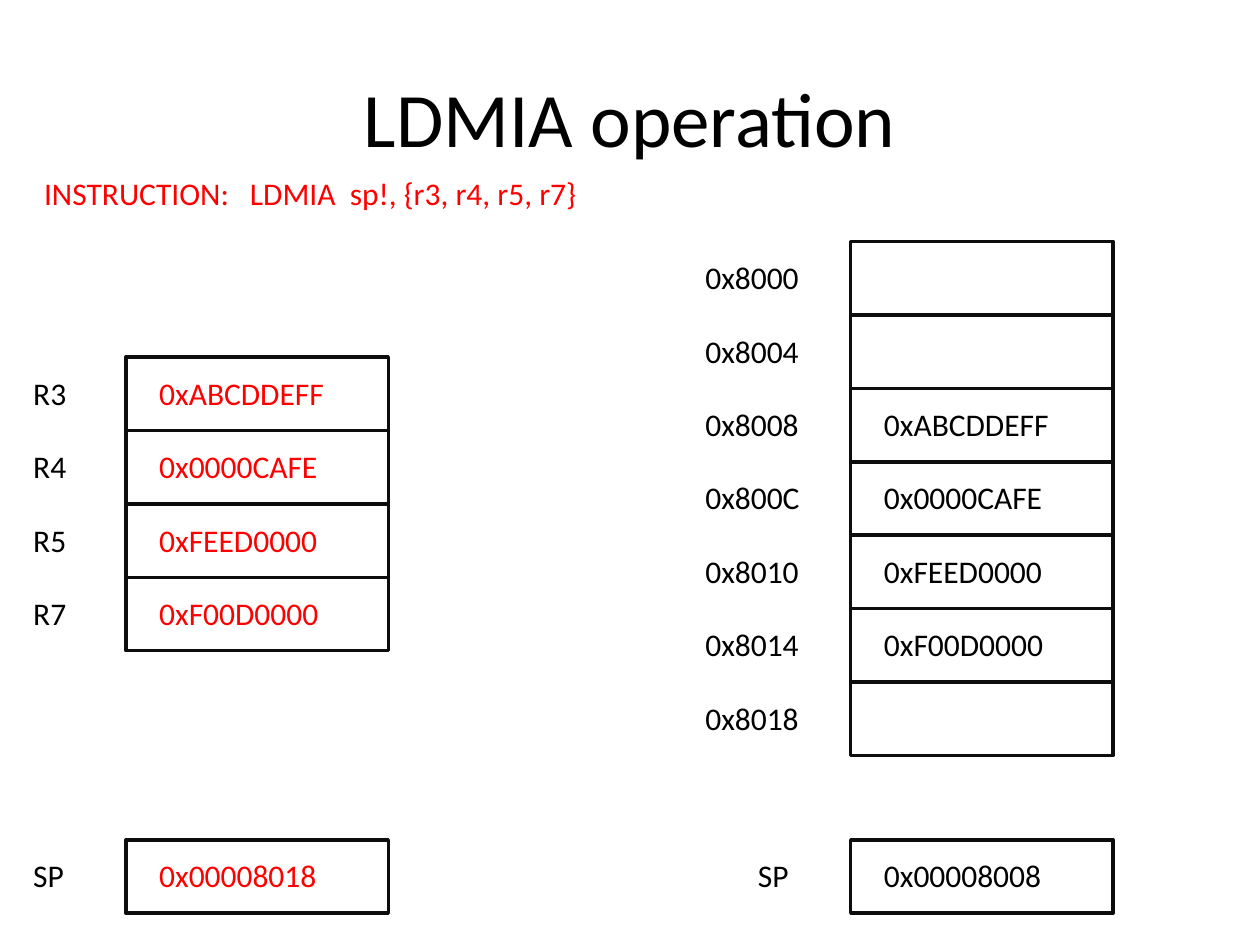
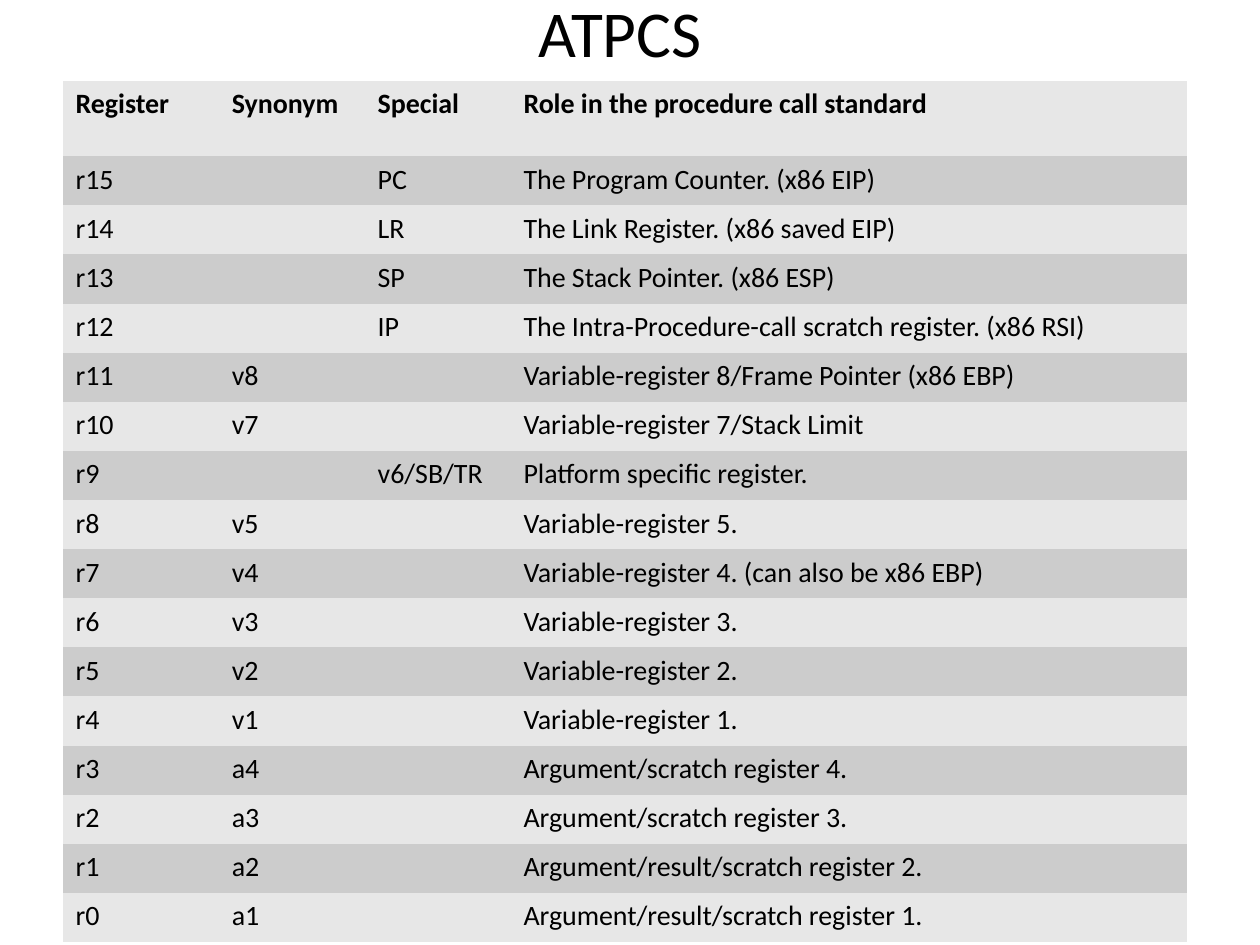
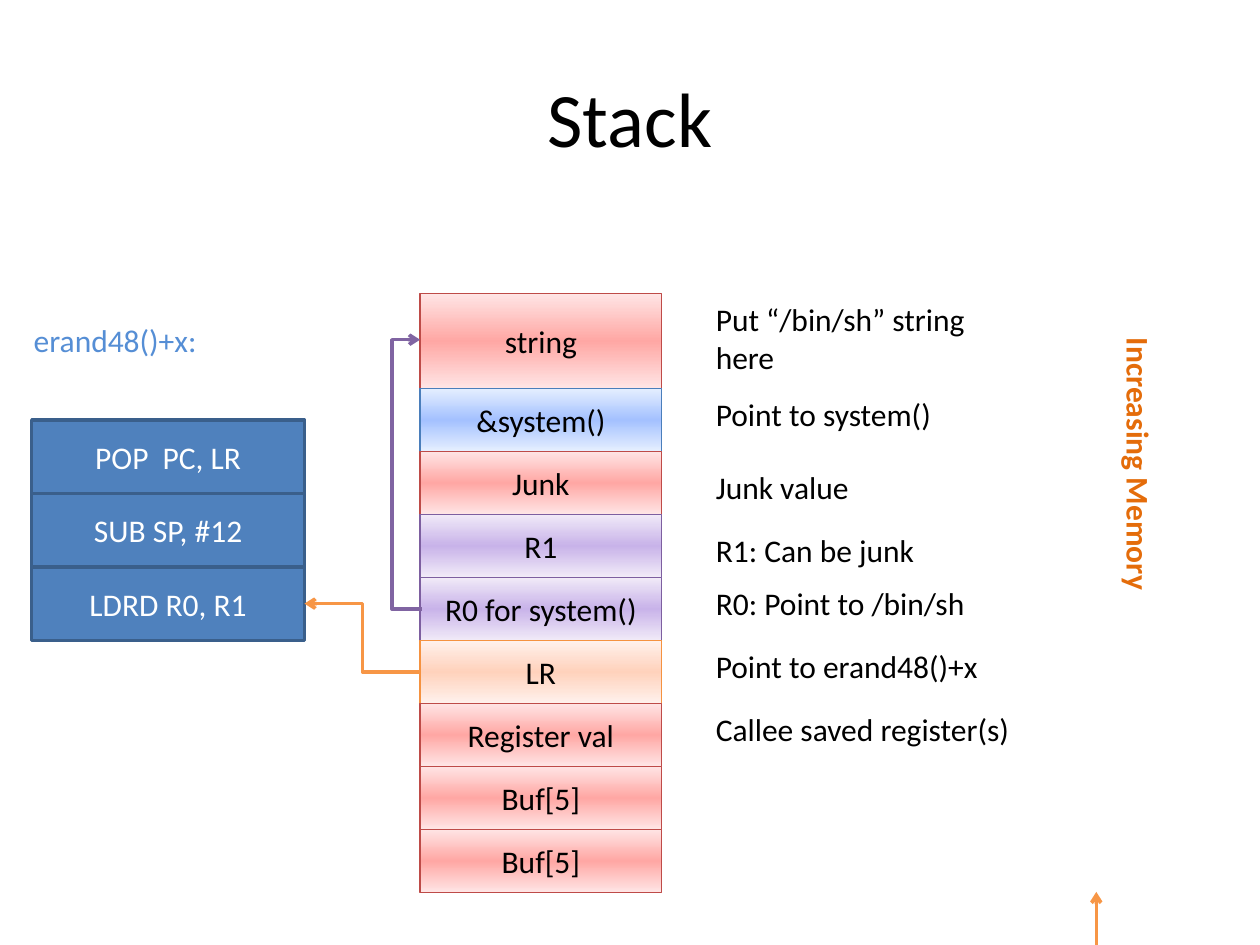
from copy import deepcopy

from lxml.etree import SubElement
from pptx import Presentation
from pptx.dml.color import RGBColor
from pptx.enum.shapes import MSO_CONNECTOR, MSO_SHAPE
from pptx.enum.text import MSO_ANCHOR, MSO_AUTO_SIZE, PP_ALIGN
from pptx.oxml.ns import qn
from pptx.util import Cm, Pt

BLACK = RGBColor(0x00, 0x00, 0x00)
WHITE = RGBColor(0xFF, 0xFF, 0xFF)
RED = RGBColor(0xFF, 0x00, 0x00)
CELL_LINE = RGBColor(0x0D, 0x0D, 0x0D)
CODE_FILL = RGBColor(0x4F, 0x81, 0xBD)
CODE_LINE = RGBColor(0x3A, 0x5F, 0x8B)
CODE_LABEL = RGBColor(0x55, 0x8E, 0xD5)
ORANGE = RGBColor(0xF7, 0x96, 0x46)
DARK_ORANGE = RGBColor(0xE4, 0x6C, 0x0A)
PURPLE = RGBColor(0x80, 0x64, 0xA2)
ROW_LIGHT = RGBColor(0xE7, 0xE7, 0xE7)
ROW_DARK = RGBColor(0xCC, 0xCC, 0xCC)

# Frame colours: gradient edge, gradient middle, outline
RED_FRAME = (RGBColor(0xFF, 0xE5, 0xE5), RGBColor(0xFF, 0xA7, 0xA4), RGBColor(0xBE, 0x4B, 0x48))
BLUE_FRAME = (RGBColor(0xE5, 0xEF, 0xFF), RGBColor(0xA4, 0xC1, 0xFF), RGBColor(0x4A, 0x7E, 0xBB))
PURPLE_FRAME = (RGBColor(0xF1, 0xEA, 0xF8), RGBColor(0xC8, 0xB3, 0xE9), RGBColor(0x7D, 0x5F, 0xA0))
ORANGE_FRAME = (RGBColor(0xFF, 0xF1, 0xEC), RGBColor(0xFF, 0xD2, 0xBC), RGBColor(0xF5, 0x92, 0x40))

SLIDE_W, SLIDE_H = 25.4, 19.05
CELL_W, CELL_H = 5.29, 1.48
LABEL_H = 1.02
LABEL_DROP = 0.21
TITLE_BOX = (1.27, 0.76, 22.86, 3.18)
PLAIN_TABLE = "{2D5ABB26-0587-4C30-8999-92F81FD0307C}"

VALUES = ["0xABCDDEFF", "0x0000CAFE", "0xFEED0000", "0xF00D0000"]
REGISTERS = list(zip(["R3", "R4", "R5", "R7"], VALUES))
ADDRESSES = ["0x8000", "0x8004", "0x8008", "0x800C", "0x8010", "0x8014", "0x8018"]
MEMORY = list(zip(ADDRESSES, ["", "", *VALUES, ""]))

COLUMN_WIDTHS = [3.15, 2.94, 2.94, 13.62]
ROLES = [
    ("Register", "Synonym", "Special", "Role in the procedure call standard"),
    ("r15", "", "PC", "The Program Counter. (x86 EIP)"),
    ("r14", "", "LR", "The Link Register. (x86 saved EIP)"),
    ("r13", "", "SP", "The Stack Pointer. (x86 ESP)"),
    ("r12", "", "IP", "The Intra-Procedure-call scratch register. (x86 RSI)"),
    ("r11", "v8", "", "Variable-register 8/Frame Pointer (x86 EBP)"),
    ("r10", "v7", "", "Variable-register 7/Stack Limit"),
    ("r9", "", "v6/SB/TR", "Platform specific register."),
    ("r8", "v5", "", "Variable-register 5."),
    ("r7", "v4", "", "Variable-register 4. (can also be x86 EBP)"),
    ("r6", "v3", "", "Variable-register 3."),
    ("r5", "v2", "", "Variable-register 2."),
    ("r4", "v1", "", "Variable-register 1."),
    ("r3", "a4", "", "Argument/scratch register 4."),
    ("r2", "a3", "", "Argument/scratch register 3."),
    ("r1", "a2", "", "Argument/result/scratch register 2."),
    ("r0", "a1", "", "Argument/result/scratch register 1."),
]

# Text, colours, height, note, drop of the note below the frame's top
FRAMES = [
    ("string", RED_FRAME, 1.91, "Put “/bin/sh” string here", 0),
    ("&system()", BLUE_FRAME, 1.27, "Point to system()", 0),
    ("Junk", RED_FRAME, 1.27, "Junk value", LABEL_DROP),
    ("R1", PURPLE_FRAME, 1.27, "R1: Can be junk", LABEL_DROP),
    ("R0 for system()", PURPLE_FRAME, 1.27, "R0: Point to /bin/sh", 0),
    ("LR", ORANGE_FRAME, 1.27, "Point to erand48()+x", 0),
    ("Register val", RED_FRAME, 1.27, "Callee saved register(s)", 0),
    ("Buf[5]", RED_FRAME, 1.27, "", 0),
    ("Buf[5]", RED_FRAME, 1.27, "", 0),
]


def cm_box(*lengths):
    return [Cm(n) for n in lengths]


def write(tf, text, color=BLACK, size=18, bold=False, align=PP_ALIGN.LEFT):
    p = tf.paragraphs[0]
    p.alignment = align
    r = p.add_run()
    r.text = text
    r.font.color.rgb = color
    for name, value in {"name": "Calibri", "size": Pt(size), "bold": bold}.items():
        setattr(r.font, name, value)
    return p


def add_title(slide, text, box=TITLE_BOX, size=44):
    tf = slide.shapes.add_textbox(*cm_box(*box)).text_frame
    tf.word_wrap = True
    tf.vertical_anchor = MSO_ANCHOR.MIDDLE
    return write(tf, text, size=size, align=PP_ALIGN.CENTER)


def add_label(slide, left, top, width, text, color=BLACK, bold=False, height=LABEL_H):
    sp = slide.shapes.add_textbox(*cm_box(left, top, width, height))
    sp.text_frame.word_wrap = True
    sp.text_frame.auto_size = MSO_AUTO_SIZE.SHAPE_TO_FIT_TEXT
    write(sp.text_frame, text, color, bold=bold)
    return sp


def add_rect(slide, box, line, width, text="", color=BLACK):
    sp = slide.shapes.add_shape(MSO_SHAPE.RECTANGLE, *cm_box(*box))
    sp.shadow.inherit = False
    sp.fill.background()
    sp.line.color.rgb = line
    sp.line.width = Pt(width)
    if text:
        sp.text_frame.word_wrap = True
        sp.text_frame.vertical_anchor = MSO_ANCHOR.MIDDLE
        write(sp.text_frame, text, color, align=PP_ALIGN.CENTER)
    return sp


def fill_mirrored(sp, edge, middle):
    """Fill with a vertical gradient from edge to middle and back."""
    sp.fill.gradient()
    sp.fill.gradient_angle = 90
    for stop, color, position in zip(sp.fill.gradient_stops, (edge, middle), (0, 0.5)):
        stop.color.rgb = color
        stop.position = position
    stops = sp._element.spPr.find(qn("a:gradFill")).find(qn("a:gsLst"))
    last = deepcopy(stops[0])
    last.set("pos", "100000")
    stops.append(last)


def add_arrow(slide, start, end, color, bend_x=None):
    """Draw an arrow; with bend_x it is an elbow whose upright part lies there."""
    kind = MSO_CONNECTOR.STRAIGHT if bend_x is None else MSO_CONNECTOR.ELBOW
    cn = slide.shapes.add_connector(kind, *cm_box(*start, *end))
    cn.line.color.rgb = color
    cn.line.width = Pt(2)
    SubElement(cn.line._get_or_add_ln(), qn("a:tailEnd"), type="arrow")
    spPr = cn._element.spPr
    SubElement(spPr, qn("a:effectLst"))
    if bend_x is not None:
        ratio = (start[0] - bend_x) / (start[0] - end[0])
        guides = spPr.find(qn("a:prstGeom")).find(qn("a:avLst"))
        SubElement(guides, qn("a:gd"), name="adj1", fmla=f"val {round(ratio * 100000)}")


def add_cells(slide, left, top, cells, color=BLACK, label_gap=2.12, label_width=1.27):
    """Stack outlined cells with a name to the left of each."""
    for i, (name, value) in enumerate(cells):
        y = top + i * CELL_H
        add_rect(slide, (left, y, CELL_W, CELL_H), CELL_LINE, 2)
        add_label(slide, left - label_gap, y + LABEL_DROP, label_width, name)
        if value:
            add_label(slide, left + 0.42, y + LABEL_DROP, 4.24, value, color)


def add_role_table(slide, left, top):
    heights = [1.52] + [0.99] * (len(ROLES) - 1)
    box = cm_box(left, top, sum(COLUMN_WIDTHS), sum(heights))
    table = slide.shapes.add_table(len(ROLES), len(COLUMN_WIDTHS), *box).table
    table._tbl.tblPr.find(qn("a:tableStyleId")).text = PLAIN_TABLE
    for column, width in zip(table.columns, COLUMN_WIDTHS):
        column.width = Cm(width)
    for i, (row, height) in enumerate(zip(table.rows, heights)):
        row.height = Cm(height)
        for cell, text in zip(row.cells, ROLES[i]):
            cell.fill.solid()
            cell.fill.fore_color.rgb = ROW_DARK if i % 2 else ROW_LIGHT
            if text:
                write(cell.text_frame, text, size=16, bold=i == 0)
            else:  # the taller default line of an empty cell must not stretch the row
                cell.margin_top = cell.margin_bottom = 0


def add_code(slide, left, top):
    add_label(slide, left - 0.21, top - 2.12, 6.78, "erand48()+x:", CODE_LABEL)
    for i, text in enumerate(["POP  PC, LR", "SUB SP, #12", "LDRD R0, R1"]):
        box = (left, top + i * CELL_H, 5.5, CELL_H)
        sp = add_rect(slide, box, CODE_LINE, 2, text, WHITE)
        sp.fill.solid()
        sp.fill.fore_color.rgb = CODE_FILL


def add_frames(slide, left, top):
    y = top
    for text, (edge, middle, line), height, note, drop in FRAMES:
        sp = add_rect(slide, (left, y, 4.87, height), line, 0.75, text)
        fill_mirrored(sp, edge, middle)
        if note:
            add_label(slide, left + 5.71, y + drop, 6.78, note)
        y += height


def build_ldmia(slide):
    add_title(slide, "LDMIA operation")
    sp = add_label(slide, 0.64, 3.39, 23.7, "INSTRUCTION:\tLDMIA  sp!, {r3, r4, r5, r7}", RED)
    pPr = sp.text_frame.paragraphs[0]._p.get_or_add_pPr()
    SubElement(SubElement(pPr, qn("a:tabLst")), qn("a:tab"), pos=str(Cm(4.15)), algn="l")
    left, right, sp_top = 2.54, 17.15, 16.93
    add_cells(slide, left, 7.2, REGISTERS, RED)
    add_cells(slide, right, 4.87, MEMORY, label_gap=3.18, label_width=2.96)
    add_cells(slide, left, sp_top, [("SP", "0x00008018")], RED)
    add_cells(slide, right, sp_top, [("SP", "0x00008008")])


def build_atpcs(slide):
    add_title(slide, "ATPCS", (1.07, 0, 22.86, 1.57), 37.4).line_spacing = 0.8
    add_role_table(slide, 1.27, 1.63)


def build_stack(slide):
    add_title(slide, "Stack")
    add_code(slide, 0.64, 8.47)
    add_frames(slide, 8.47, 5.92)
    add_arrow(slide, (8.47, 13.55), (6.14, 12.17), ORANGE, bend_x=7.31)
    add_arrow(slide, (8.5, 12.28), (8.47, 6.85), PURPLE, bend_x=7.9)
    add_arrow(slide, (22.1, SLIDE_H), (22.1, 17.98), ORANGE)
    add_label(slide, 19.15, 9.86, 7.62, "Increasing Memory", DARK_ORANGE, bold=True).rotation = 90


def main():
    prs = Presentation()
    prs.slide_width, prs.slide_height = cm_box(SLIDE_W, SLIDE_H)
    for build in (build_ldmia, build_atpcs, build_stack):
        build(prs.slides.add_slide(prs.slide_layouts[6]))
    prs.save("out.pptx")


if __name__ == "__main__":
    main()
